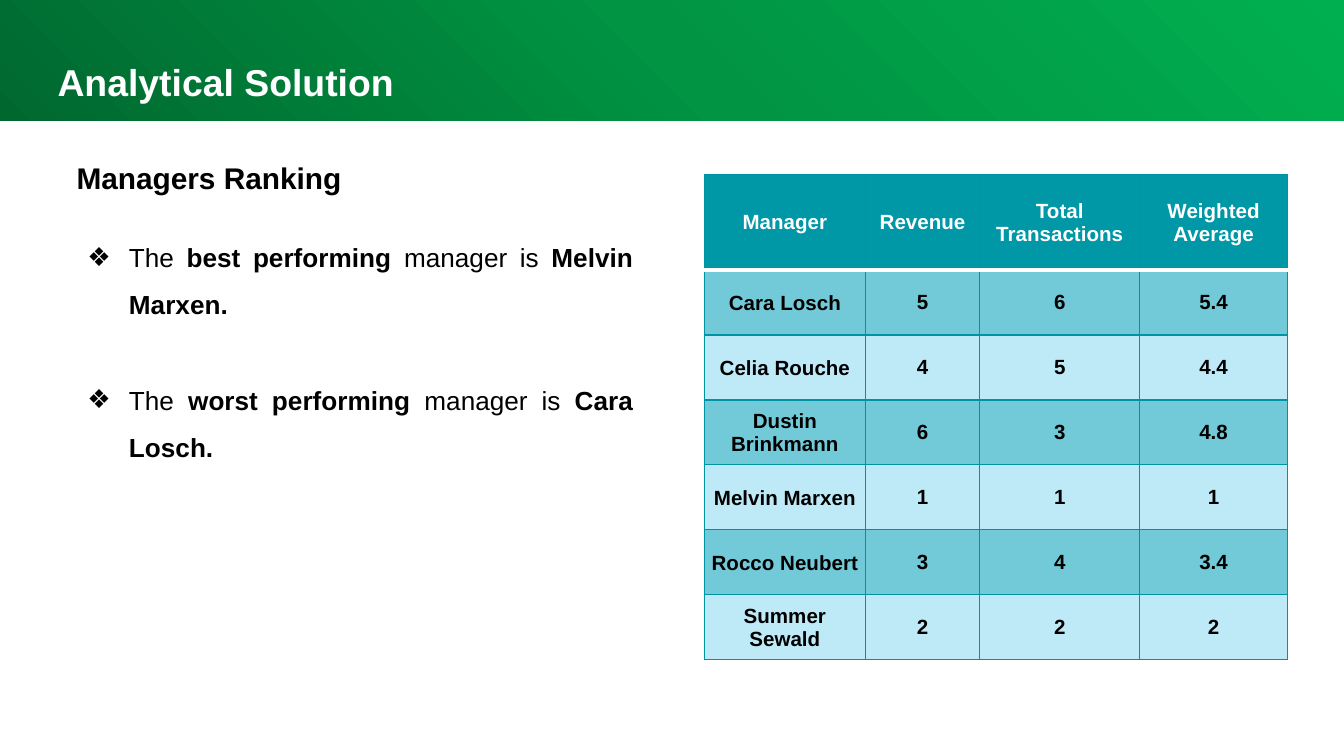
from lxml.etree import SubElement
from pptx import Presentation
from pptx.dml.color import RGBColor
from pptx.enum.shapes import MSO_SHAPE
from pptx.enum.text import MSO_ANCHOR, PP_ALIGN
from pptx.oxml import parse_xml
from pptx.oxml.ns import nsdecls, qn
from pptx.util import Inches, Pt

FONT = "Arial"
COLORS = {
    "white": "FFFFFF",
    "black": "000000",
    "green_dark": "00682F",
    "green_mid": "009443",
    "green_light": "00B050",
    "header": "0097A7",
    "border": "0094A3",
    "band_dark": "72C9D7",
    "band_light": "BEEAF7",
}
BULLETS = [
    [("The ", False), ("best performing ", True), ("manager is ", False), ("Melvin Marxen.", True)],
    [("The ", False), ("worst performing ", True), ("manager is", False), (" Cara Losch.", True)],
]
RANKING = [
    ["Manager", "Revenue", "Total Transactions", "Weighted Average"],
    ["Cara Losch", "5", "6", "5.4"],
    ["Celia Rouche", "4", "5", "4.4"],
    ["Dustin Brinkmann", "6", "3", "4.8"],
    ["Melvin Marxen", "1", "1", "1"],
    ["Rocco Neubert", "3", "4", "3.4"],
    ["Summer Sewald", "2", "2", "2"],
]
COL_WIDTHS = [1.2, 0.85, 1.19, 1.1]
TABLE_HEIGHT, HEADER_HEIGHT = 3.61, 0.71


def rgb(name):
    return RGBColor.from_string(COLORS[name])


def style_run(r, size, color, bold):
    r.font.name = FONT
    r.font.size = Pt(size)
    r.font.bold = bold
    r.font.color.rgb = rgb(color)


def add_banner(slide):
    sp = slide.shapes.add_shape(
        MSO_SHAPE.RECTANGLE, Inches(-0.02), Inches(-0.02), Inches(10.05), Inches(0.92))
    sp.shadow.inherit = False
    sp.line.fill.background()
    stops = "".join(
        f'<a:gs pos="{pos * 1000}"><a:srgbClr val="{COLORS[name]}"/></a:gs>'
        for pos, name in [(0, "green_dark"), (50, "green_mid"), (100, "green_light")])
    gradient = parse_xml(
        f'<a:gradFill {nsdecls("a")} rotWithShape="1"><a:gsLst>{stops}</a:gsLst>'
        '<a:path path="circle"><a:fillToRect t="100000" r="100000"/></a:path></a:gradFill>')
    sp._element.spPr.find(qn("a:prstGeom")).addnext(gradient)


def add_text_frame(slide, left, top, width, height, inset):
    tf = slide.shapes.add_textbox(
        Inches(left), Inches(top), Inches(width), Inches(height)).text_frame
    tf.word_wrap = True
    tf.margin_left = tf.margin_right = tf.margin_top = tf.margin_bottom = Inches(inset)
    return tf


def add_heading(slide, text, box, inset, size, color, indent=0, spacing=1):
    tf = add_text_frame(slide, *box, inset)
    tf.text = text
    p = tf.paragraphs[0]
    p.line_spacing = spacing
    p._p.get_or_add_pPr().set("marL", str(Inches(indent)))
    style_run(p.runs[0], size, color, True)


def add_bullets(slide, items, box):
    tf = add_text_frame(slide, *box, 0.05)
    for i, item in enumerate(items):
        p = tf.paragraphs[0] if i == 0 else tf.add_paragraph()
        p.alignment = PP_ALIGN.JUSTIFY
        p.line_spacing = 1.5
        if i:
            p.space_before = Pt(26)
        pPr = p._p.get_or_add_pPr()
        pPr.set("marL", str(Inches(0.31)))
        pPr.set("indent", str(Inches(-0.31)))
        SubElement(pPr, qn("a:buFont"), typeface=FONT)
        SubElement(pPr, qn("a:buChar"), char="❖")
        for text, bold in item:
            r = p.add_run()
            r.text = text
            style_run(r, 14, "black", bold)


def add_border(cell, side, color, width):
    cell._tc.get_or_add_tcPr().append(parse_xml(
        f'<a:ln{side} {nsdecls("a")} w="{Pt(width)}"><a:solidFill>'
        f'<a:srgbClr val="{COLORS[color]}"/></a:solidFill></a:ln{side}>'))


def style_cell(cell, text, row, col):
    is_header = row == 0
    cell.text = text
    cell.vertical_anchor = MSO_ANCHOR.MIDDLE
    if col == 0 and not is_header:
        cell.margin_left = cell.margin_right = cell.margin_top = Inches(0.01)
        cell.margin_bottom = 0
    p = cell.text_frame.paragraphs[0]
    p.alignment = PP_ALIGN.CENTER
    style_run(p.runs[0], 11, "white" if is_header else "black", True)
    for side in "LRTB":
        divider = (row, side) in [(0, "B"), (1, "T")]
        add_border(cell, side, *(("white", 2) if divider else ("border", 0.75)))
    cell.fill.solid()
    band = "band_dark" if row % 2 else "band_light"
    cell.fill.fore_color.rgb = rgb("header" if is_header else band)


def add_ranking_table(slide, rows, left, top):
    body_count = len(rows) - 1
    row_height = (TABLE_HEIGHT - HEADER_HEIGHT) / body_count
    heights = [HEADER_HEIGHT] + [row_height] * body_count
    table = slide.shapes.add_table(
        len(rows), len(COL_WIDTHS), Inches(left), Inches(top),
        Inches(sum(COL_WIDTHS)), Inches(TABLE_HEIGHT)).table
    for column, width in zip(table.columns, COL_WIDTHS):
        column.width = Inches(width)
    for i, (values, height) in enumerate(zip(rows, heights)):
        table.rows[i].height = Inches(height)
        for j, value in enumerate(values):
            style_cell(table.cell(i, j), value, i, j)


def main():
    prs = Presentation()
    prs.slide_width = Inches(10)
    prs.slide_height = Inches(10) * 9 // 16
    slide = prs.slides.add_slide(prs.slide_layouts[6])
    add_banner(slide)
    add_heading(slide, "Analytical Solution", (0.22, 0.29, 9.37, 0.56), 0.1, 20, "white",
                indent=0.11, spacing=1.15)
    add_heading(slide, "Managers Ranking", (0.52, 1.14, 4, 0.37), 0.05, 16, "black")
    add_bullets(slide, BULLETS, (0.6, 1.63, 4.16, 1.87))
    add_ranking_table(slide, RANKING, 5.24, 1.3)
    prs.save("out.pptx")


if __name__ == "__main__":
    main()
